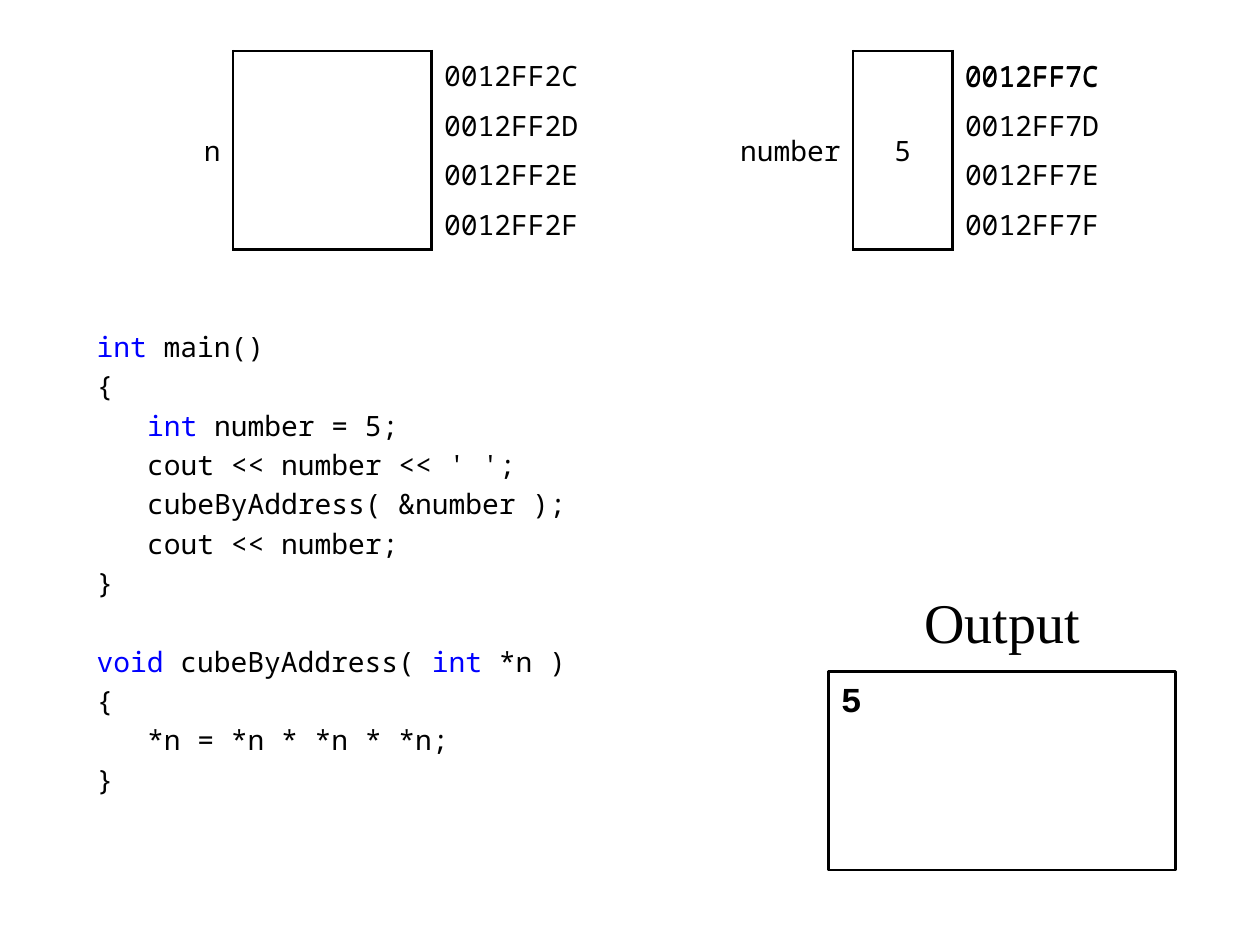
"""Slide tracing a C++ call by address: memory tables, code and program output."""
from lxml.etree import SubElement
from pptx import Presentation
from pptx.dml.color import RGBColor
from pptx.enum.shapes import MSO_SHAPE
from pptx.enum.text import MSO_ANCHOR as Anchor, PP_ALIGN as Align
from pptx.oxml.ns import qn
from pptx.util import Cm, Inches, Pt

MONO = "Noto Sans Mono"
BLACK, BLUE, WHITE = "000000", "0000FF", "FFFFFF"
ROWS = 4
TOP = 1.03
LINE = 1.5
GAP, FUNCTION_GAP = 3.3, 25.75


def write(paragraph, text, size=16, font=MONO, color=BLACK, bold=False):
    run = paragraph.add_run()
    run.text = text
    run.font.size, run.font.name, run.font.bold = Pt(size), font, bold
    run.font.color.rgb = RGBColor.from_string(color)


def set_borders(cell, sides):
    props = cell._tc.get_or_add_tcPr()
    for side in "LRTB":
        edge = SubElement(props, qn(f"a:ln{side}"), w=str(Pt(LINE)))
        if side in sides:
            fill = SubElement(edge, qn("a:solidFill"))
            SubElement(fill, qn("a:srgbClr"), val=BLACK)
        else:
            SubElement(edge, qn("a:noFill"))


prs = Presentation()
prs.slide_width, prs.slide_height = Inches(10), Inches(7.5)
slide = prs.slides.add_slide(prs.slide_layouts[6])

code = [
    (0, 0, [("int", BLUE), (" main()", BLACK)]),
    (0, GAP, [("{", BLACK)]),
    (1, GAP, [("int", BLUE), (" number = 5;", BLACK)]),
    (1, GAP, [("cout << number << ' ';", BLACK)]),
    (1, GAP, [("cubeByAddress( &number );", BLACK)]),
    (1, GAP, [("cout << number;", BLACK)]),
    (0, GAP, [("}", BLACK)]),
    (0, FUNCTION_GAP, [("void ", BLUE), ("cubeByAddress( ", BLACK), ("int", BLUE), (" *n )", BLACK)]),
    (0, GAP, [("{", BLACK)]),
    (1, GAP, [("*n = *n * *n * *n;", BLACK)]),
    (0, GAP, [("}", BLACK)]),
]
listing = slide.shapes.add_textbox(Cm(1.7), Cm(6.52), Cm(11), Cm(10)).text_frame
listing.word_wrap = True
for number, (level, gap, pieces) in enumerate(code):
    line = listing.add_paragraph() if number else listing.paragraphs[0]
    line.space_before = Pt(gap)
    indent = line._p.get_or_add_pPr()
    indent.set("marL", str(Inches(0.4)))
    indent.set("indent", str(Inches(0.4 * (level - 1))))
    for text, color in pieces:
        write(line, text, color=color)

variables = [
    (14.2, (3, 2, 4), "number", "5", "0012FF7", 0),
    (3.7, (1, 4, 4), "n", "", "0012FF2", 0.6),
]
for left, widths, name, value, address, gap in variables:
    memory = slide.shapes.add_table(ROWS, 3, Cm(left), Cm(TOP), Cm(sum(widths)), Cm(ROWS)).table
    memory.first_row = memory.horz_banding = False
    for column, width in zip(memory.columns, widths):
        column.width = Cm(width)
    for row, digit in enumerate("CDEF"):
        box_sides = "LR" + ("TB" if row == 0 else "B" if row == ROWS - 1 else "")
        texts = (name, value, address + digit) if row == 0 else ("", "", address + digit)
        aligns = (Align.RIGHT, Align.CENTER, Align.LEFT)
        for col, (text, align, sides) in enumerate(zip(texts, aligns, ("R", box_sides, "L"))):
            cell = memory.cell(row, col)
            set_borders(cell, sides)
            cell.fill.background()
            cell.vertical_anchor = Anchor.MIDDLE
            cell.margin_top = cell.margin_bottom = Inches(0.02)
            paragraph = cell.text_frame.paragraphs[0]
            paragraph.alignment = align
            paragraph.space_before = Pt(gap)
            paragraph.font.size = Pt(16)
            if text:
                write(paragraph, text)
    for col in (0, 1):
        memory.cell(0, col).merge(memory.cell(ROWS - 1, col))

screen = slide.shapes.add_shape(MSO_SHAPE.RECTANGLE, Cm(16.7), Cm(13.54), Cm(7), Cm(4))
screen.shadow.inherit = False
screen.fill.solid()
screen.fill.fore_color.rgb = RGBColor.from_string(WHITE)
screen.line.color.rgb = RGBColor.from_string(BLACK)
screen.line.width = Pt(LINE)
screen.text_frame.vertical_anchor = Anchor.TOP
printed = screen.text_frame.paragraphs[0]
printed.alignment = Align.LEFT
printed.space_before = Pt(2)
write(printed, "5", 20, "Courier New", bold=True)

labels = [
    (18.2, 11.52, 4, 2, "Output", 32, "Times New Roman", Align.CENTER),
    (19.2, TOP, 4, 1, "0012FF7C", 16, MONO, Align.LEFT),
]
for left, top, width, height, text, size, font, align in labels:
    label = slide.shapes.add_textbox(Cm(left), Cm(top), Cm(width), Cm(height)).text_frame
    label.word_wrap = True
    label.vertical_anchor = Anchor.MIDDLE
    label.margin_top = label.margin_bottom = 0
    label.paragraphs[0].alignment = align
    write(label.paragraphs[0], text, size, font)

prs.save("out.pptx")
